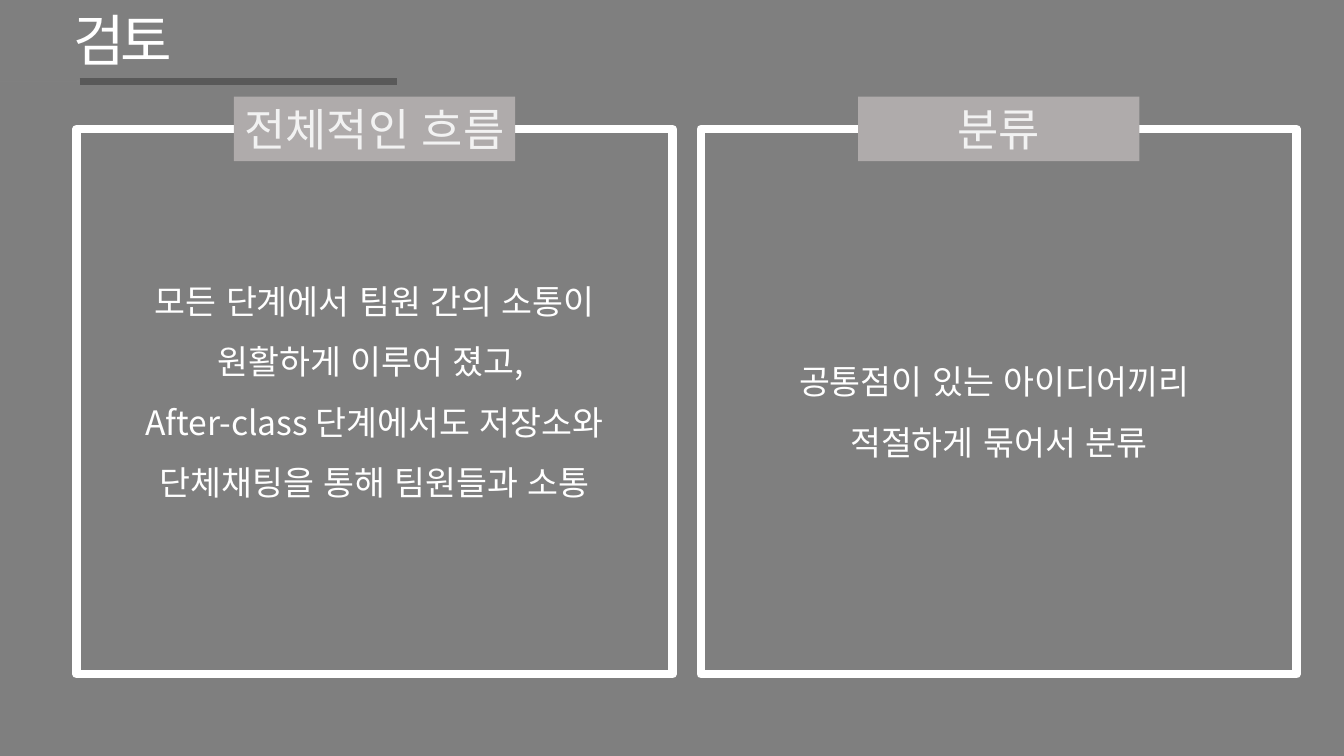
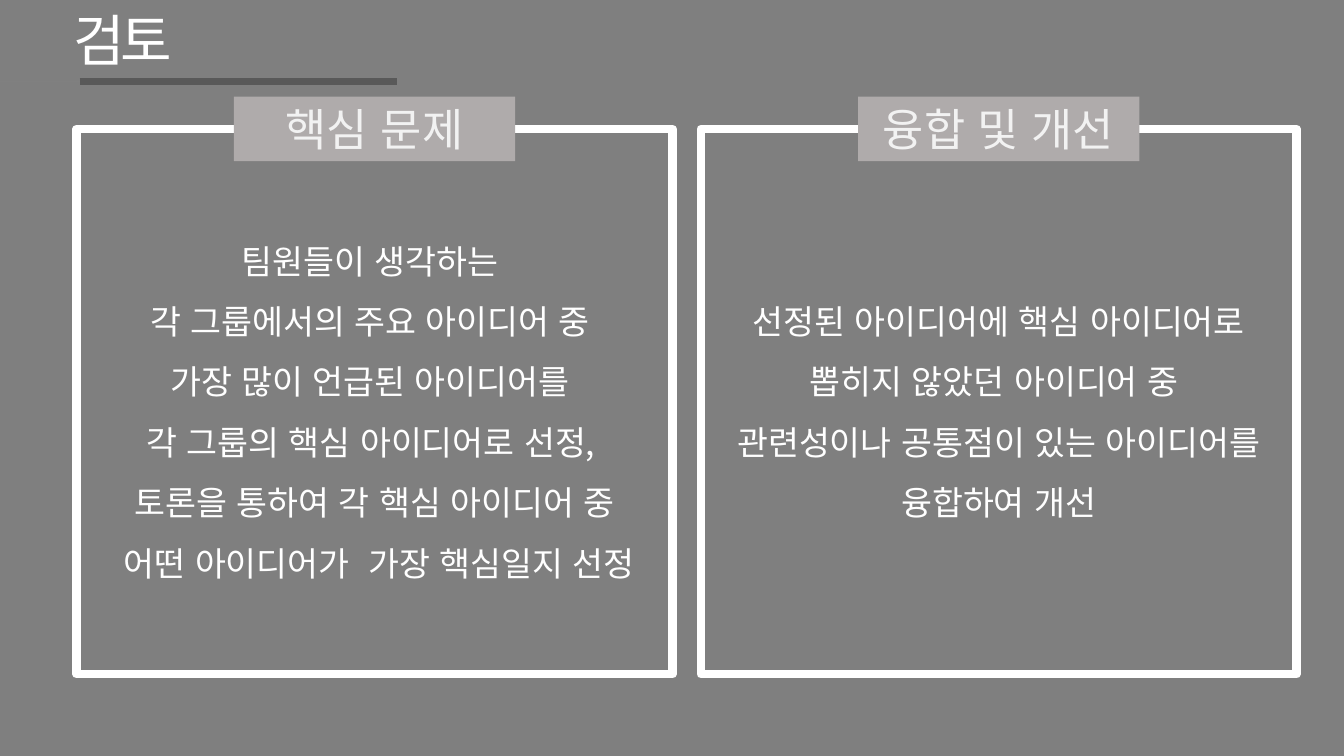
from lxml.etree import SubElement
from pptx import Presentation
from pptx.dml.color import RGBColor
from pptx.enum.lang import MSO_LANGUAGE_ID
from pptx.enum.shapes import MSO_CONNECTOR, MSO_SHAPE
from pptx.enum.text import MSO_ANCHOR, MSO_AUTO_SIZE, PP_ALIGN
from pptx.oxml.ns import qn
from pptx.util import Inches, Pt

COLORS = {
    "background": "7F7F7F",
    "hairline": "808080",
    "underline": "595959",
    "label": "AFABAB",
    "label_text": "F2F2F2",
    "white": "FFFFFF",
}
FONT = "Noto Sans CJK KR"
PANEL_LEFTS = (0.76, 6.95)
PANEL_TOP, PANEL_WIDTH, PANEL_HEIGHT = 1.28, 5.91, 5.41
LABEL_TOP, LABEL_WIDTH, LABEL_HEIGHT = 0.96, 2.79, 0.64
RULE_TOP = 0.81


def color(name):
    return RGBColor.from_string(COLORS[name])


class ReviewDeck:
    def __init__(self):
        self.presentation = Presentation()
        self.presentation.slide_width = Inches(13.33)
        self.presentation.slide_height = Inches(7.5)
        fill = self.presentation.slide_master.background.fill
        fill.solid()
        fill.fore_color.rgb = color("background")
        self.slide = None

    def add_slide(self, title, panels):
        layout = self.presentation.slide_layouts.get_by_name("Title Only")
        self.slide = self.presentation.slides.add_slide(layout)
        self.rule(0, 0.79, "hairline", 0.5)
        self.rule(0.79, 3.94, "underline", 4.5)
        self.title(title)
        for left, (label, text, bottom_inset) in zip(PANEL_LEFTS, panels):
            self.panel(left, text, bottom_inset)
            self.label(left + (PANEL_WIDTH - LABEL_WIDTH) / 2, label)

    def rule(self, start, end, line_color, width):
        connector = self.slide.shapes.add_connector(
            MSO_CONNECTOR.STRAIGHT,
            Inches(start), Inches(RULE_TOP), Inches(end), Inches(RULE_TOP))
        connector.line.color.rgb = color(line_color)
        connector.line.width = Pt(width)
        SubElement(connector._element.spPr, qn("a:effectLst"))

    def set_text(self, shape, text, size, text_color, alignment, spacing=1.0):
        shape.text_frame.text = text
        paragraph = shape.text_frame.paragraphs[0]
        paragraph.alignment = alignment
        paragraph.line_spacing = spacing
        font = paragraph.font
        font.size = Pt(size)
        font.color.rgb = color(text_color)
        font.name = FONT
        font.language_id = MSO_LANGUAGE_ID.KOREAN
        SubElement(font._element, qn("a:ea"), typeface=FONT)
        return font

    def title(self, text):
        shape = self.slide.shapes.title
        shape.left, shape.top = Inches(0.63), Inches(0)
        shape.width, shape.height = Inches(1.24), Inches(0.77)
        frame = shape.text_frame
        frame.word_wrap = False
        frame.auto_size = MSO_AUTO_SIZE.SHAPE_TO_FIT_TEXT
        frame.vertical_anchor = MSO_ANCHOR.TOP
        font = self.set_text(shape, text, 40, "white", PP_ALIGN.LEFT)
        font._element.set("spc", "-300")

    def rectangle(self, left, top, width, height):
        shape = self.slide.shapes.add_shape(
            MSO_SHAPE.RECTANGLE,
            Inches(left), Inches(top), Inches(width), Inches(height))
        shape.shadow.inherit = False
        shape.text_frame.word_wrap = True
        return shape

    def panel(self, left, text, bottom_inset):
        shape = self.rectangle(left, PANEL_TOP, PANEL_WIDTH, PANEL_HEIGHT)
        shape.fill.background()
        shape.line.color.rgb = color("white")
        shape.line.width = Pt(6)
        shape.text_frame.vertical_anchor = MSO_ANCHOR.MIDDLE
        shape.text_frame.margin_bottom = Inches(bottom_inset)
        self.set_text(shape, text, 24, "white", PP_ALIGN.CENTER, 1.5)

    def label(self, left, text):
        shape = self.rectangle(left, LABEL_TOP, LABEL_WIDTH, LABEL_HEIGHT)
        shape.fill.solid()
        shape.fill.fore_color.rgb = color("label")
        shape.line.fill.background()
        shape.text_frame.vertical_anchor = MSO_ANCHOR.TOP
        shape.text_frame.auto_size = MSO_AUTO_SIZE.SHAPE_TO_FIT_TEXT
        self.set_text(shape, text, 32, "label_text", PP_ALIGN.CENTER)


SLIDES = [
    [
        ("전체적인 흐름",
         "모든 단계에서 팀원 간의 소통이\v원활하게 이루어 졌고, \v"
         "After-class 단계에서도 저장소와 단체채팅을 통해 팀원들과 소통", 0.45),
        ("분류", "공통점이 있는 아이디어끼리 \v적절하게 묶어서 분류", 0.05),
    ],
    [
        ("핵심 문제",
         "팀원들이 생각하는 \v각 그룹에서의 주요 아이디어 중 \v"
         "가장 많이 언급된 아이디어를 \v각 그룹의 핵심 아이디어로 선정, \v"
         "토론을 통하여 각 핵심 아이디어 중\v"
         " 어떤 아이디어가  가장 핵심일지 선정", 0.05),
        ("융합 및 개선",
         "선정된 아이디어에 핵심 아이디어로 뽑히지 않았던 아이디어 중 \v"
         "관련성이나 공통점이 있는 아이디어를 융합하여 개선", 0.05),
    ],
]

deck = ReviewDeck()
for panels in SLIDES:
    deck.add_slide("검토", panels)
deck.presentation.save("out.pptx")
